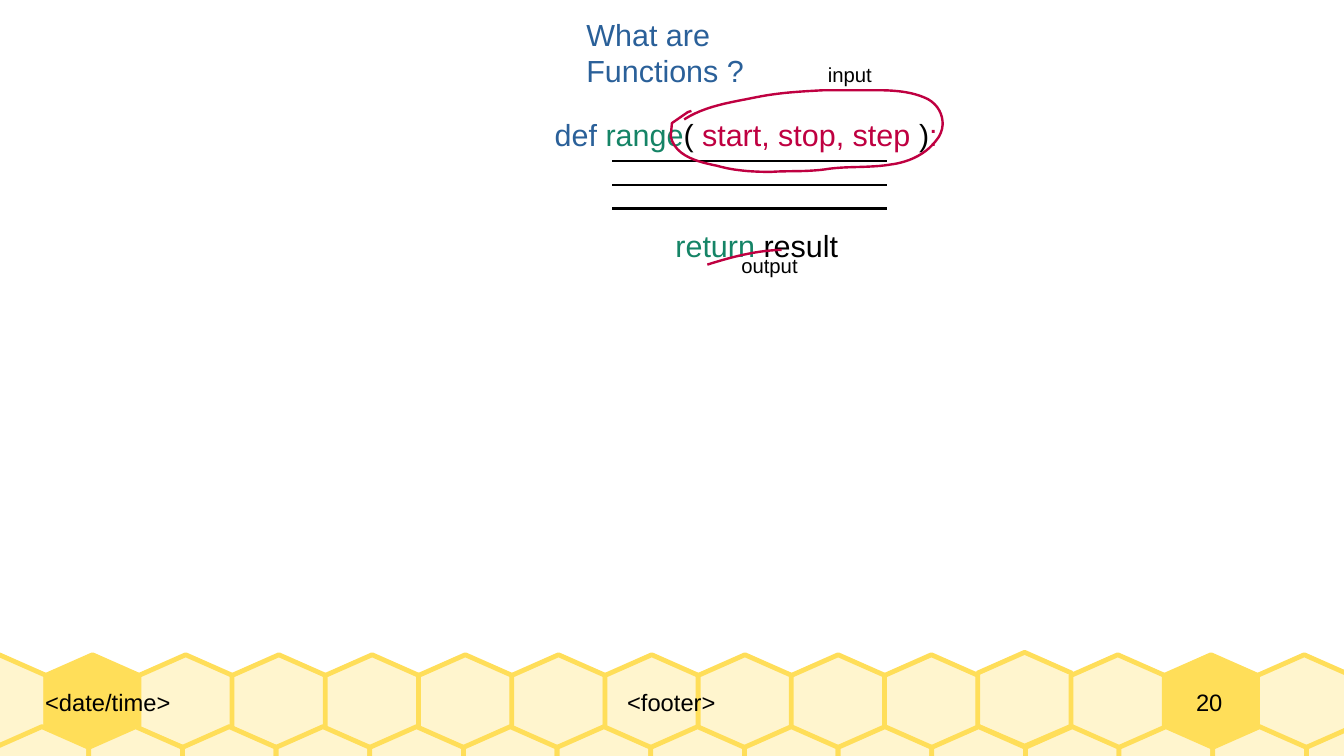
from pptx import Presentation
from pptx import util as u
from pptx.dml.color import RGBColor
from pptx.enum import shapes, text
from pptx.oxml import xmlchemy

BLACK = RGBColor(0x00, 0x00, 0x00)
BLUE = RGBColor(0x2A, 0x60, 0x99)
GREEN = RGBColor(0x15, 0x84, 0x66)
RED = RGBColor(0xBF, 0x00, 0x41)
YELLOW = RGBColor(0xFF, 0xDE, 0x59)
CREAM = RGBColor(0xFF, 0xF5, 0xCE)

# The slide is a grid of 1102 columns by 620 rows
COLUMNS, ROWS = 1102, 620
CELL = u.Inches(0.01)

presentation = Presentation()
presentation.slide_width = COLUMNS * CELL
presentation.slide_height = ROWS * CELL
slide = presentation.slides.add_slide(presentation.slide_layouts[6])


def add_text(lines, left, top, width, height, size=18, wrap=False, margins=(10, 5),
             align=text.PP_ALIGN.LEFT, anchor=text.MSO_ANCHOR.TOP, gap=0, indent=0):
    """Each line is a list of (words, colour); gap and indent apply after the first line."""
    box = slide.shapes.add_textbox(left * CELL, top * CELL, width * CELL, height * CELL)
    frame = box.text_frame
    frame.word_wrap = wrap
    frame.auto_size = text.MSO_AUTO_SIZE.NONE if wrap else text.MSO_AUTO_SIZE.SHAPE_TO_FIT_TEXT
    frame.vertical_anchor = anchor
    frame.margin_left = frame.margin_right = margins[0] * CELL
    frame.margin_top = frame.margin_bottom = margins[1] * CELL
    for number, line in enumerate(lines):
        paragraph = frame.add_paragraph() if number else frame.paragraphs[0]
        paragraph.alignment = align
        if number:
            paragraph.space_before = u.Pt(gap)
            paragraph._p.get_or_add_pPr().set("marL", str(indent * CELL))
        for words, colour in line:
            run = paragraph.add_run()
            run.text = words
            run.font.name = "Arial"
            run.font.size = u.Pt(size)
            run.font.color.rgb = colour


def add_outline(points, line_colour, line_width, fill_colour=None):
    """Draw a line through grid points; a fill colour also closes it."""
    corners = [(x * CELL, y * CELL) for x, y in points]
    builder = slide.shapes.build_freeform(*corners[0])
    builder.add_line_segments(corners[1:], close=fill_colour is not None)
    shape = builder.convert_to_shape()
    shape.shadow.inherit = False
    shape.line.color.rgb = line_colour
    shape.line.width = u.Pt(line_width)
    if fill_colour is None:
        shape.fill.background()
    else:
        shape.fill.solid()
        shape.fill.fore_color.rgb = fill_colour


# Honeycomb: two rows of hexagons, with one raised and two solid in the upper row
HEXAGONS, HALF_WIDTH = 15, 38.4
RAISED, SOLID = 11, (1, 13)
HEXAGON_ROWS = [(-39, 537, 76.43), (-4, 596, 76.8)]
for row, (first_left, row_top, pitch) in enumerate(HEXAGON_ROWS):
    for column in range(HEXAGONS):
        center = first_left + HALF_WIDTH + column * pitch
        top = row_top - 2 if (row, column) == (0, RAISED) else row_top
        left, right = center - HALF_WIDTH, center + HALF_WIDTH
        hexagon = [(center, top), (left, top + 17), (left, top + 60.5),
                   (center, top + 77), (right, top + 60.5), (right, top + 17)]
        fill = YELLOW if row == 0 and column in SOLID else CREAM
        add_outline(hexagon, YELLOW, 2.83, fill)

# Date, footer and slide number
for words, left, width, align in [("<date/time>", 37, 263, text.PP_ALIGN.LEFT),
                                  ("<footer>", 300, 501, text.PP_ALIGN.CENTER),
                                  ("20", 929, 125, text.PP_ALIGN.CENTER)]:
    add_text([[(words, BLACK)]], left, 537, width, 77, size=14, wrap=True,
             margins=(0, 0), align=align, anchor=text.MSO_ANCHOR.MIDDLE)

# Title and function definition
add_text([[("What are Functions ?", BLUE)]], 471, 8, 257, 38)
signature = [("def ", BLUE), ("range", GREEN), ("( ", BLACK),
             ("start, stop, step", RED), (" )", BLACK), (":", RED)]
result = [("return ", GREEN), ("result", BLACK)]
add_text([signature, result], 445, 90, 334, 122, gap=44, indent=99)

# Function body as three lines
for row in range(3):
    height = (132 + row * 19.5) * CELL
    body_line = slide.shapes.add_connector(shapes.MSO_CONNECTOR.STRAIGHT,
                                           502 * CELL, int(height), 727 * CELL, int(height))
    body_line.line.color.rgb = BLACK
    body_line.line.width = u.Pt(1.42)
    body_line._element.spPr.append(xmlchemy.OxmlElement("a:effectLst"))

# Hand-drawn marks: a start, cubic curves (two controls and an end), then straight ends
INPUT_LOOP = ((561, 98), [
    ((578, 87), (599, 84), (619, 80)), ((638, 76), (657, 75), (676, 74)),
    ((688, 74), (701, 74), (714, 74)), ((728, 74), (744, 74), (758, 80)),
    ((771, 85), (777, 100), (770, 112)), ((761, 126), (746, 133), (730, 135)),
    ((712, 138), (694, 136), (676, 139)), ((661, 141), (647, 140), (632, 141)),
    ((617, 141), (602, 140), (588, 136)), ((574, 133), (554, 129), (550, 112)),
], [(551, 101), (564, 92), (567, 91)])
OUTPUT_STROKE = ((580, 217), [((599, 211), (618, 206), (638, 205))], [(641, 205)])
STEPS = 12
for start, curves, straight_ends in (INPUT_LOOP, OUTPUT_STROKE):
    points = [start]
    for curve in curves:
        controls = (points[-1], *curve)
        for step in range(1, STEPS + 1):
            t = step / STEPS
            weights = ((1 - t) ** 3, 3 * t * (1 - t) ** 2, 3 * t ** 2 * (1 - t), t ** 3)
            points.append(tuple(sum(weight * control[axis]
                                    for weight, control in zip(weights, controls))
                                for axis in (0, 1)))
    add_outline(points + straight_ends, RED, 1.42)

# Labels of the marks
add_text([[("input", BLACK)]], 669, 46, 56, 29, size=12)
add_text([[("output", BLACK)]], 598, 203, 77, 29, size=12)

presentation.save("out.pptx")
